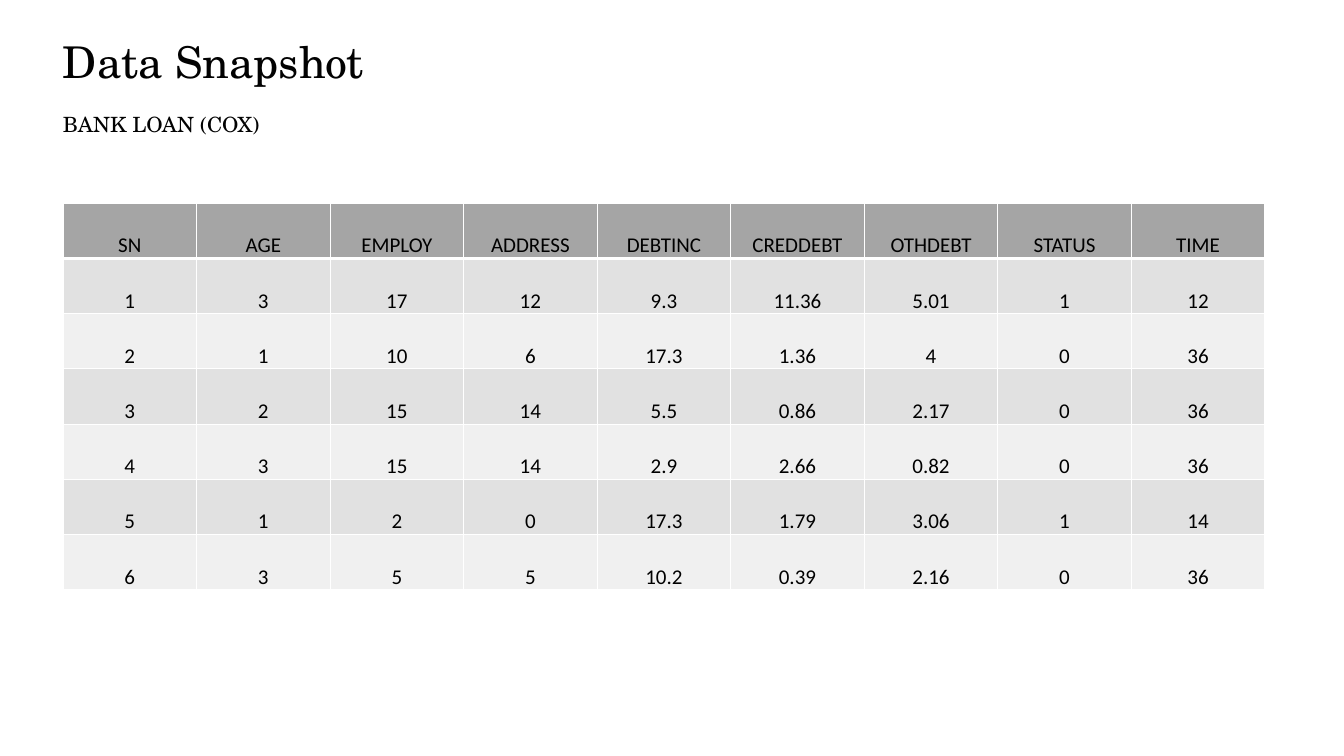
from lxml.etree import SubElement
from pptx import Presentation
from pptx.dml.color import RGBColor
from pptx.enum.text import MSO_ANCHOR, PP_ALIGN
from pptx.oxml.ns import qn
from pptx.util import Inches, Pt


def rgb(color):
    return RGBColor.from_string(color)


def add_border(cell, side, width):
    """Draw a white line on one side (L, R, T or B) of a cell."""
    ln = SubElement(cell._tc.get_or_add_tcPr(), qn(f"a:ln{side}"), w=str(Pt(width)))
    SubElement(SubElement(ln, qn("a:solidFill")), qn("a:srgbClr"), val="FFFFFF")


prs = Presentation()
prs.slide_width, prs.slide_height = Inches(16), Inches(9)
s = prs.slides.add_slide(prs.slide_layouts[6])
s.background.fill.solid()
s.background.fill.fore_color.rgb = rgb("FFFFFF")

headings = [
    ("Data Snapshot", 0.51, 4.23, 0.53, 37.5, 38),
    ("BANK LOAN (COX)", 1.32, 2.54, 0.32, 18, 22.5),
]
for text, top, width, height, size, spacing in headings:
    box = s.shapes.add_textbox(Inches(0.75), Inches(top), Inches(width), Inches(height))
    tf = box.text_frame
    tf.margin_left = tf.margin_right = tf.margin_top = tf.margin_bottom = 0
    tf.word_wrap = False
    p = tf.paragraphs[0]
    p.text = text
    p.line_spacing = Pt(spacing)
    p.font.name, p.font.size = "TeX Gyre Schola", Pt(size)
    p.font.color.rgb = rgb("020202")

loans = [
    ["SN", "AGE", "EMPLOY", "ADDRESS", "DEBTINC", "CREDDEBT", "OTHDEBT", "STATUS", "TIME"],
    [1, 3, 17, 12, 9.3, 11.36, 5.01, 1, 12],
    [2, 1, 10, 6, 17.3, 1.36, 4, 0, 36],
    [3, 2, 15, 14, 5.5, 0.86, 2.17, 0, 36],
    [4, 3, 15, 14, 2.9, 2.66, 0.82, 0, 36],
    [5, 1, 2, 0, 17.3, 1.79, 3.06, 1, 14],
    [6, 3, 5, 5, 10.2, 0.39, 2.16, 0, 36],
]
table = s.shapes.add_table(len(loans), len(loans[0]), Inches(0.75), Inches(2.42),
                           Inches(14.31), Inches(4.6)).table
for i, loan in enumerate(loans):
    fill = "A5A5A5" if i == 0 else ("F0F0F0", "E1E1E1")[i % 2]
    top_width = 3 if i == 1 else 1
    bottom_width = 3 if i == 0 else 1
    for j, value in enumerate(loan):
        cell = table.cell(i, j)
        cell.margin_left = cell.margin_right = cell.margin_top = Inches(0.01)
        cell.margin_bottom = 0
        cell.vertical_anchor = MSO_ANCHOR.BOTTOM
        for side, width in zip("LRTB", (1, 1, top_width, bottom_width)):
            add_border(cell, side, width)
        cell.fill.solid()
        cell.fill.fore_color.rgb = rgb(fill)
        p = cell.text_frame.paragraphs[0]
        p.text = str(value)
        p.alignment = PP_ALIGN.CENTER
        p.font.name, p.font.size, p.font.bold = "Calibri", Pt(18), False
        p.font.color.rgb = rgb("000000")

prs.save("out.pptx")
